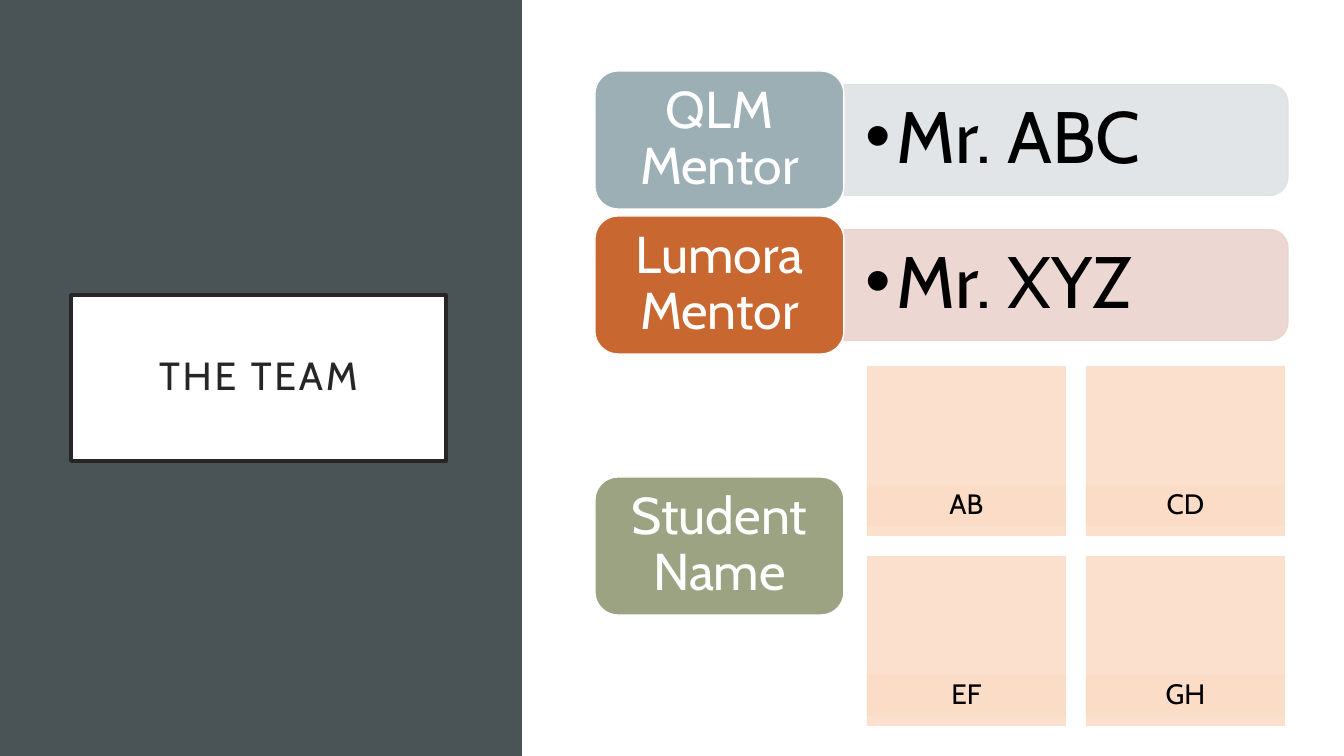
from dataclasses import dataclass

from lxml.etree import SubElement
from pptx import Presentation
from pptx.dml.color import RGBColor
from pptx.enum.shapes import MSO_SHAPE
from pptx.enum.text import MSO_ANCHOR, MSO_AUTO_SIZE, PP_ALIGN
from pptx.oxml.ns import qn
from pptx.util import Pt

EMU_PER_PX = 914400 / 100.8


def px(length):
    return round(length * EMU_PER_PX)


@dataclass(frozen=True)
class Theme:
    font: str = "Cabin"
    title_size: int = 28
    label_size: int = 37
    name_size: int = 52
    caption_size: int = 20
    slate: str = "4A5356"
    white: str = "FFFFFF"
    black: str = "000000"
    ink: str = "262626"
    mentor: str = "9BAFB5"
    mentor_tint: str = "DEE3E5"
    trainer: str = "C96731"
    trainer_tint: str = "EBD3CE"
    student: str = "9CA383"
    card: str = "FBE0CD"
    caption: str = "FBD7BD"


class TeamSlide:
    def __init__(self, presentation, theme):
        self.theme = theme
        self.slide = presentation.slides.add_slide(presentation.slide_layouts[5])

    def paint(self, shape, fill, line=None, width=1, opacity=100):
        shape.fill.solid()
        shape.fill.fore_color.rgb = RGBColor.from_string(fill)
        if line:
            shape.line.color.rgb = RGBColor.from_string(line)
            shape.line.width = Pt(width)
        else:
            shape.line.fill.background()
        if opacity < 100:
            for color in shape.element.spPr.iter(qn("a:srgbClr")):
                SubElement(color, qn("a:alpha"), val=str(opacity * 1000))

    def set_text(self, shape, text, size, color, insets, align=PP_ALIGN.CENTER):
        side, top = map(px, insets)
        frame_format = {
            "word_wrap": True, "auto_size": MSO_AUTO_SIZE.NONE,
            "vertical_anchor": MSO_ANCHOR.MIDDLE,
            "margin_left": side, "margin_right": side,
            "margin_top": top, "margin_bottom": top,
        }
        for name, value in frame_format.items():
            setattr(shape.text_frame, name, value)
        paragraph = shape.text_frame.paragraphs[0]
        paragraph.alignment, paragraph.line_spacing = align, 0.9
        run = paragraph.add_run()
        run.text = text
        for name, value in {"name": self.theme.font, "size": Pt(size)}.items():
            setattr(run.font, name, value)
        run.font.color.rgb = RGBColor.from_string(color)
        return paragraph

    def box(self, kind, left, top, width, height, fill, **style):
        shape = self.slide.shapes.add_shape(kind, *map(px, (left, top, width, height)))
        shape.shadow.inherit = False
        self.paint(shape, fill, **style)
        return shape

    def title(self, text, left, top, width, height):
        theme, shape = self.theme, self.slide.shapes.title
        place = {"left": left, "top": top, "width": width, "height": height}
        for name, value in place.items():
            setattr(shape, name, px(value))
        self.paint(shape, theme.white, line=theme.ink, width=2.5)
        paragraph = self.set_text(shape, text, theme.title_size, theme.ink, (20, 20))
        paragraph.runs[0]._r.get_or_add_rPr().set("spc", "200")
        # Bring the title in front of the side panel
        shape.element.getparent().append(shape.element)

    def label(self, text, left, top, width, height, fill):
        shape = self.box(MSO_SHAPE.ROUNDED_RECTANGLE, left, top, width, height,
                         fill, line=self.theme.white)
        self.set_text(shape, text, self.theme.label_size, self.theme.white, (15, 8))

    def name_bar(self, text, left, middle, width, height, fill):
        # Quarter turn puts the rounded corners on the right
        bar = self.box(MSO_SHAPE.ROUND_2_SAME_RECTANGLE,
                       left + (width - height) / 2, middle - width / 2,
                       height, width, fill, line=fill, opacity=90)
        bar.rotation = 90
        box = self.slide.shapes.add_textbox(
            px(left), px(middle - 50), px(width - 6), px(100))
        paragraph = self.set_text(box, text, self.theme.name_size, self.theme.black,
                                  (22, 11), PP_ALIGN.LEFT)
        properties = paragraph._p.get_or_add_pPr()
        properties.set("marL", str(px(31)))
        properties.set("indent", str(-px(31)))
        SubElement(properties, qn("a:buFont"), typeface="Arial")
        SubElement(properties, qn("a:buChar"), char="•")

    def card(self, text, left, top, width, height):
        theme = self.theme
        self.box(MSO_SHAPE.RECTANGLE, left, top, width, height, theme.card)
        caption = self.box(MSO_SHAPE.RECTANGLE, left, top + 119, width, 41,
                           theme.caption, opacity=40)
        self.set_text(caption, text, theme.caption_size, theme.black, (6, 6))


def main():
    presentation = Presentation()
    presentation.slide_width, presentation.slide_height = px(1344), px(756)
    theme = Theme()
    team = TeamSlide(presentation, theme)

    # Side panel, content area and title
    team.box(MSO_SHAPE.RECTANGLE, 0, 0, 522, 756, theme.slate)
    team.box(MSO_SHAPE.RECTANGLE, 524, 0, 820, 756, theme.white)
    team.title("THE TEAM", 71, 295, 375, 166)

    # Mentor rows
    label_left, label_width, label_height = 595, 249, 138
    mentors = [
        ("QLM Mentor", "Mr. ABC", theme.mentor, theme.mentor_tint),
        ("Lumora Mentor", "Mr. XYZ", theme.trainer, theme.trainer_tint),
    ]
    for row, (role, name, fill, tint) in enumerate(mentors):
        top = 71 + row * 145
        team.name_bar(name, label_left + label_width, top + label_height / 2,
                      444, 111, tint)
        team.label(role, label_left, top, label_width, label_height, fill)

    # Student cards in a two-column grid
    for index, student in enumerate(["AB", "CD", "EF", "GH"]):
        row, column = divmod(index, 2)
        team.card(student, 867 + column * 219, 366 + row * 190, 199, 170)
    team.label("Student Name", label_left, 477, label_width, label_height,
               theme.student)

    presentation.save("out.pptx")


if __name__ == "__main__":
    main()
